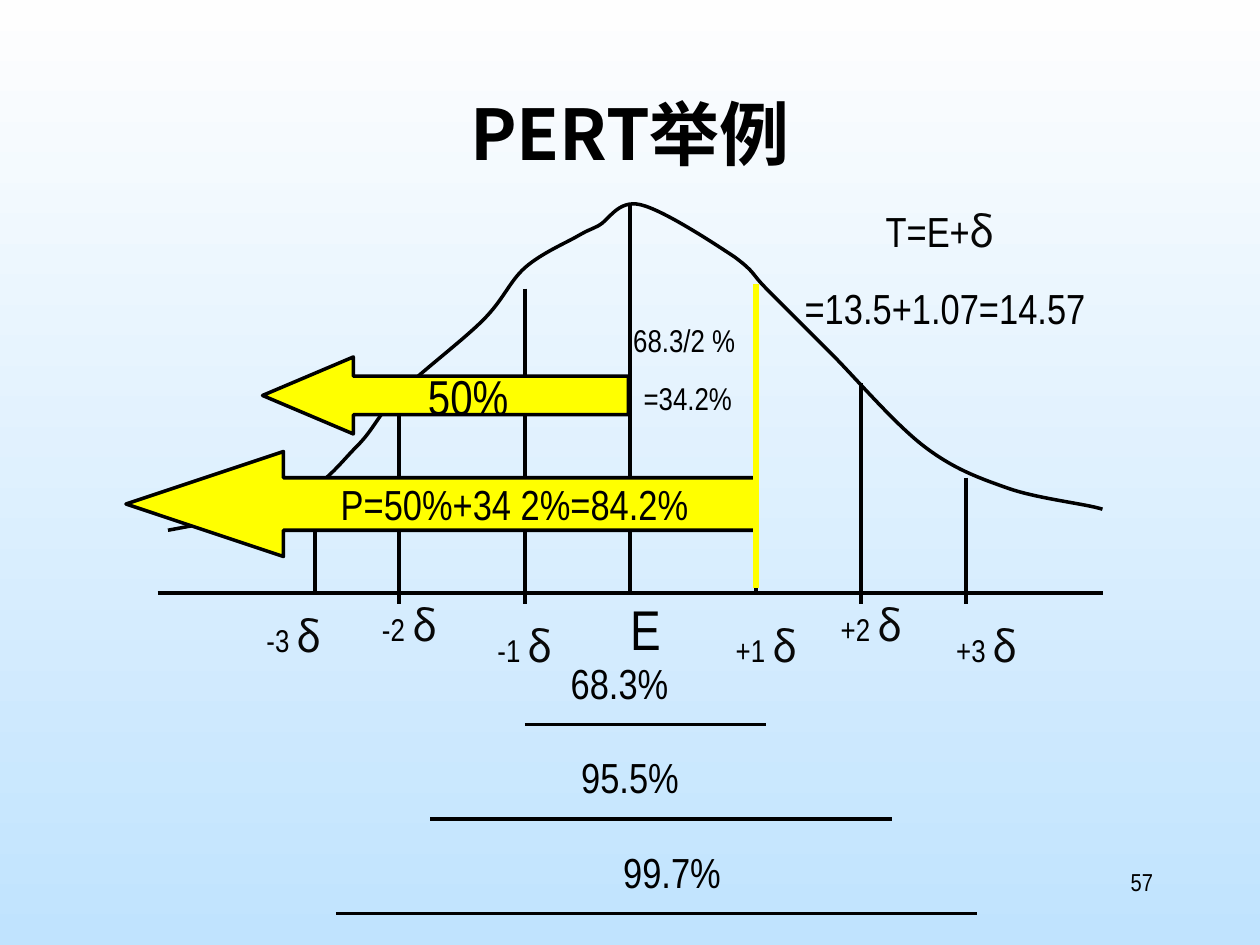
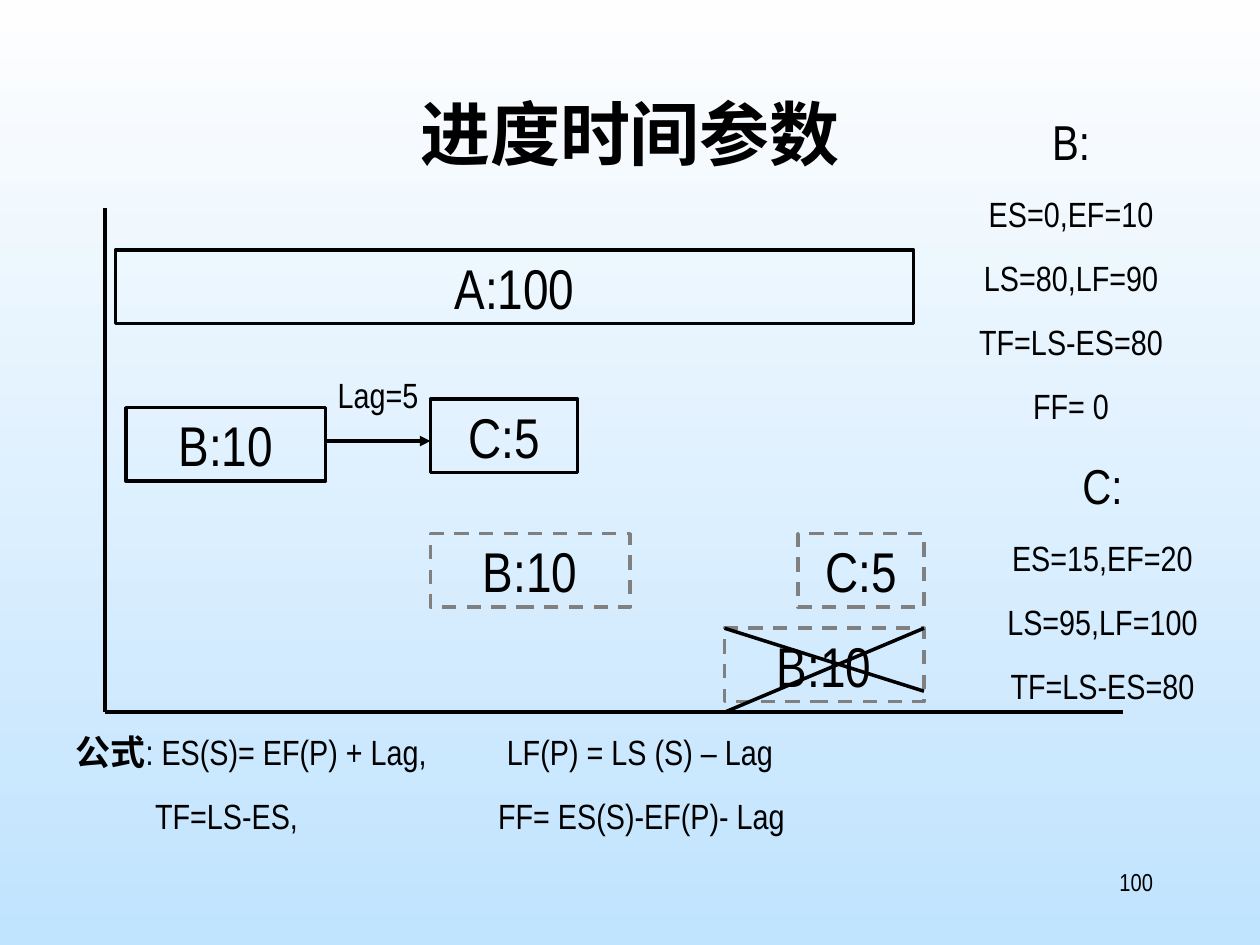
from lxml import etree
from pptx import Presentation
from pptx.dml.color import RGBColor
from pptx.enum.dml import MSO_LINE
from pptx.enum.shapes import MSO_CONNECTOR, MSO_SHAPE
from pptx.enum.text import MSO_ANCHOR, MSO_AUTO_SIZE, PP_ALIGN
from pptx.oxml.ns import qn
from pptx.util import Pt

LEFT, CENTER, RIGHT = PP_ALIGN.LEFT, PP_ALIGN.CENTER, PP_ALIGN.RIGHT
TOP, MIDDLE = MSO_ANCHOR.TOP, MSO_ANCHOR.MIDDLE
STRAIGHT = MSO_CONNECTOR.STRAIGHT
LEFT_ARROW, RECTANGLE = MSO_SHAPE.LEFT_ARROW, MSO_SHAPE.RECTANGLE
DASH = MSO_LINE.DASH
BODY_FONT, TITLE_FONT = "Arial Narrow", "Noto Sans CJK SC"
COLORS = {name: RGBColor.from_string(value) for name, value in {
    "sky_top": "FEFEFE",
    "sky_bottom": "C0E3FE",
    "ink": "000000",
    "delta": "080808",
    "highlight": "FFFF00",
    "late": "808080",
}.items()}


def write_text(shape, lines, size, align=CENTER, gap=0, wrap=True, tabs=()):
    """Fill a shape with lines, each a tuple of spans; a δ span gets its own font."""
    frame = shape.text_frame
    frame.word_wrap = wrap
    for index, spans in enumerate(lines):
        para = frame.paragraphs[0] if index == 0 else frame.add_paragraph()
        para.alignment = align
        if tabs:
            tab_list = etree.SubElement(para._p.get_or_add_pPr(), qn("a:tabLst"))
            for position in tabs[index]:
                etree.SubElement(tab_list, qn("a:tab"), pos=str(Pt(position)), algn="l")
        if index:
            para.space_before = Pt(gap)
        para.font.name = BODY_FONT
        para.font.size = Pt(size)
        para.font.color.rgb = COLORS["ink"]
        for words in spans:
            span = para.add_run()
            span.text = words
            if words.startswith("δ"):
                span.font.name = TITLE_FONT
                span.font.size = Pt(24)
                span.font.color.rgb = COLORS["delta"]
    return frame


def add_line(page, x1, y1, x2, y2, color="ink", width=2):
    line = page.shapes.add_connector(STRAIGHT, Pt(x1), Pt(y1), Pt(x2), Pt(y2))
    line.line.color.rgb = COLORS[color]
    line.line.width = Pt(width)
    etree.SubElement(line._element.spPr, qn("a:effectLst"))
    return line


deck = Presentation()
deck.slide_width, deck.slide_height = Pt(720), Pt(540)

# Shared background, title and page number
sky = deck.slide_master.background.fill
sky.gradient()
sky.gradient_angle = 270
for stop, name in zip(sky.gradient_stops, ("sky_top", "sky_bottom")):
    stop.color.rgb = COLORS[name]

pages = []
for heading, number in (("PERT举例", "57"), ("进度时间参数", "100")):
    page = deck.slides.add_slide(deck.slide_layouts[5])
    title = page.shapes.title
    title.left, title.top, title.width, title.height = map(Pt, (54, 48, 612, 90))
    title.text_frame.text = heading
    title.text_frame.vertical_anchor = TOP
    title.text_frame.auto_size = MSO_AUTO_SIZE.NONE
    para = title.text_frame.paragraphs[0]
    para.alignment = CENTER
    para.font.name = TITLE_FONT
    para.font.size = Pt(40)
    para.font.bold = True
    para.font.color.rgb = COLORS["ink"]
    etree.SubElement(para.font._element, qn("a:ea"), typeface=TITLE_FONT)
    box = page.shapes.add_textbox(*map(Pt, (516, 492, 150, 36)))
    write_text(box, [(number,)], 14, RIGHT)
    pages.append(page)
pert, schedule = pages

# PERT: bell curve, two control points and an end point for each segment
BASELINE = 339
CURVE_START = (96, 303)
CURVE = [
    (123, 298), (150, 293), (168, 285),
    (186, 277), (194, 265), (204, 255),
    (214, 245), (216, 237), (228, 225),
    (240, 213), (264, 195), (276, 183),
    (288, 171), (291, 161), (300, 153),
    (309, 145), (323, 139), (330, 135),
    (337, 131), (336, 132), (342, 129),
    (348, 126), (353, 114), (366, 117),
    (379, 120), (408, 139), (420, 147),
    (432, 156), (429, 156), (438, 165),
    (447, 174), (459, 186), (474, 201),
    (489, 216), (511, 242), (528, 255),
    (545, 268), (559, 273), (576, 279),
    (593, 285), (621, 288), (630, 291),
]
builder = pert.shapes.build_freeform(*map(Pt, CURVE_START))
builder.add_line_segments([(Pt(x), Pt(y)) for x, y in CURVE], close=False)
bell = builder.convert_to_shape()
bell.shadow.inherit = False
bell.fill.background()
bell.line.color.rgb = COLORS["ink"]
bell.line.width = Pt(2)
outline = next(bell._element.iter(qn("a:path")))
straights = outline.findall(qn("a:lnTo"))
for first in range(0, len(straights), 3):
    segment = etree.SubElement(outline, qn("a:cubicBezTo"))
    for straight in straights[first:first + 3]:
        segment.append(straight[0])
        outline.remove(straight)

add_line(pert, 90, BASELINE, 630, BASELINE)
for x, top, bottom in ((180, 279, 339), (228, 225, 345), (300, 165, 345), (360, 117, 339),
                       (432, 165, 339), (492, 219, 345), (552, 273, 345)):
    add_line(pert, x, top, x, bottom)

for sigma, left, top in (("-3 ", 138, 345.5), ("-2 ", 204, 339), ("-1 ", 270, 351),
                         ("+1 ", 408, 351), ("+2 ", 468, 339), ("+3 ", 534, 351)):
    box = pert.shapes.add_textbox(Pt(left), Pt(top), Pt(60), Pt(36))
    write_text(box, [(sigma, "δ")], 18)

for row, (share, left, width, x1, x2) in enumerate((("68.3%", 312, 84, 300, 438),
                                                    ("95.5%", 300, 120, 246, 510),
                                                    ("99.7%", 324, 120, 192, 558))):
    y = 414 + 54 * row
    add_line(pert, x1, y, x2, y)
    box = pert.shapes.add_textbox(Pt(left), Pt(y - 42), Pt(width), Pt(36))
    write_text(box, [(share,)], 24)

for bounds, head, label in (((72, 258, 360, 60), 1.5, None),
                            ((150, 204, 209, 44), 1.18, "50%")):
    arrow = pert.shapes.add_shape(LEFT_ARROW, *map(Pt, bounds))
    arrow.adjustments[1] = head
    arrow.shadow.inherit = False
    arrow.fill.solid()
    arrow.fill.fore_color.rgb = COLORS["highlight"]
    arrow.line.color.rgb = COLORS["ink"]
    arrow.line.width = Pt(2)
    if label:
        write_text(arrow, [(label,)], 28, wrap=False).vertical_anchor = MIDDLE
add_line(pert, 432, 336, 432, 162, "highlight", 3)

for bounds, lines, size, gap in (
        ((348, 336, 42, 46), [("E",)], 32, 0),
        ((432, 114, 216, 80), [("T=E+", "δ "), ("=13.5+1.07=14.57",)], 24, 15),
        ((180, 270, 228, 36), [("P=50%+34 2%=84.2%",)], 24, 0),
        ((348, 180, 90, 62), [("68.3/2 % ",), ("=34.2%",)], 18, 11.2)):
    box = pert.shapes.add_textbox(*map(Pt, bounds))
    write_text(box, lines, size, gap=gap)

# Schedule: axes, early (solid) and late (dashed) activities
add_line(schedule, 60, 119, 60, 407)
add_line(schedule, 60, 407, 642, 407)
for label, left, top, width, late in (("A:100", 66, 143, 456, False),
                                      ("B:10", 72, 233, 114, False),
                                      ("C:5", 246, 228, 84, False),
                                      ("B:10", 246, 305, 114, True),
                                      ("C:5", 456, 305, 72, True),
                                      ("B:10", 414, 359, 114, True)):
    activity = schedule.shapes.add_shape(RECTANGLE, Pt(left), Pt(top), Pt(width), Pt(42))
    activity.shadow.inherit = False
    activity.fill.background()
    activity.line.color.rgb = COLORS["late" if late else "ink"]
    activity.line.width = Pt(2)
    if late:
        activity.line.dash_style = DASH
    write_text(activity, [(label,)], 32, wrap=False).vertical_anchor = MIDDLE

add_line(schedule, 414, 407, 528, 359)
add_line(schedule, 528, 395, 414, 359)
lag = add_line(schedule, 186, 252, 246, 252)
etree.SubElement(lag.line._get_or_add_ln(), qn("a:tailEnd"), type="triangle")
box = schedule.shapes.add_textbox(*map(Pt, (180, 210, 72, 32)))
write_text(box, [("Lag=5",)], 20)

for bounds, lines in (
        ((528, 60.25, 168, 187), ("B:", "ES=0,EF=10", "LS=80,LF=90", "TF=LS-ES=80", "FF= 0")),
        ((558, 257, 144, 150), ("C:", "ES=15,EF=20", "LS=95,LF=100", "TF=LS-ES=80"))):
    box = schedule.shapes.add_textbox(*map(Pt, bounds))
    frame = write_text(box, [(line,) for line in lines], 20, gap=12.5)
    frame.paragraphs[0].font.size = Pt(28)

box = schedule.shapes.add_textbox(*map(Pt, (36, 414, 630, 68)))
formulas = [("公式", ": ES(S)= EF(P) + Lag,\tLF(P) = LS (S) – Lag"),
            ("\tTF=LS-ES,\tFF= ES(S)-EF(P)- Lag",)]
frame = write_text(box, formulas, 20, LEFT, 12.5, tabs=((246.5,), (45.5, 241.5)))
frame.paragraphs[0].runs[0].font.bold = True

deck.save("out.pptx")
